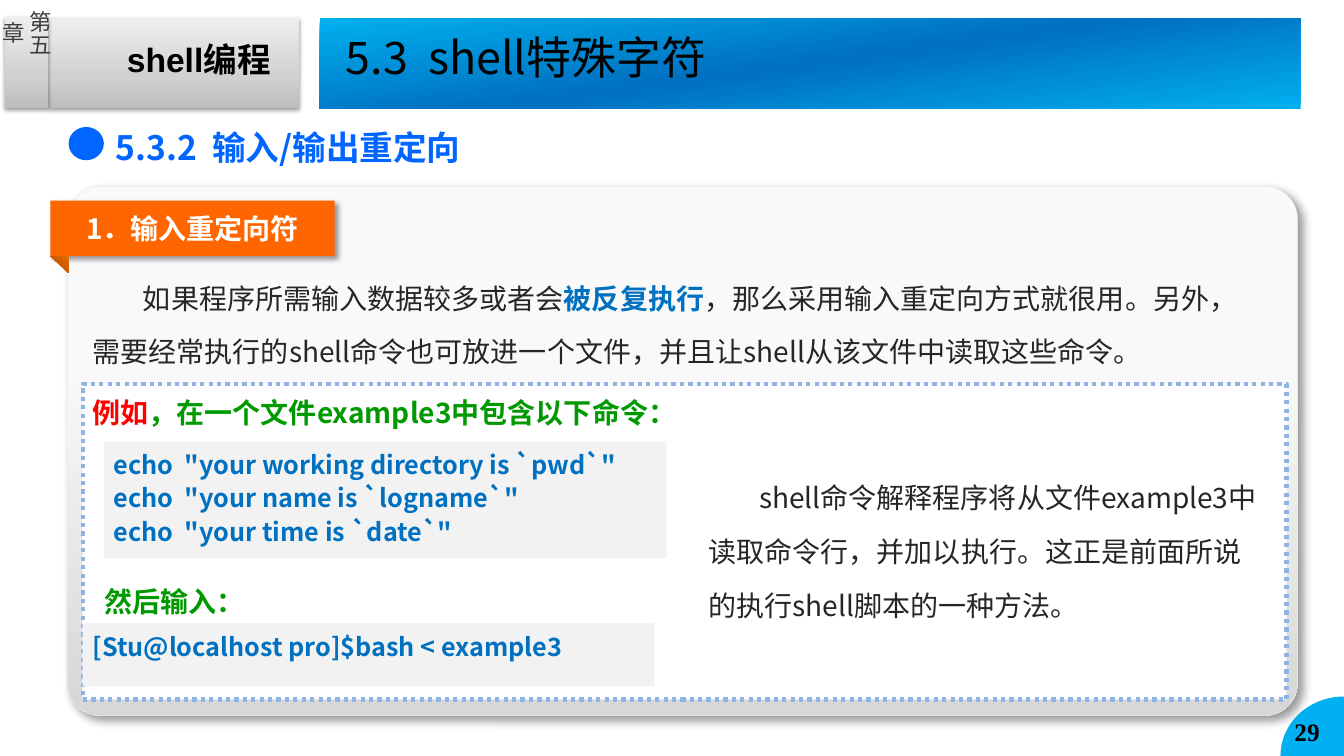
import math
from lxml import etree
from pptx import Presentation
from pptx.dml.color import RGBColor
from pptx.enum.dml import MSO_LINE
from pptx.enum.shapes import MSO_SHAPE
from pptx.enum.text import MSO_ANCHOR, PP_ALIGN
from pptx.oxml import parse_xml
from pptx.oxml.ns import qn
from pptx.util import Inches, Pt

RECT, ROUND_RECT = MSO_SHAPE.RECTANGLE, MSO_SHAPE.ROUNDED_RECTANGLE
OVAL, TRIANGLE = MSO_SHAPE.OVAL, MSO_SHAPE.RIGHT_TRIANGLE
TOP, MIDDLE = MSO_ANCHOR.TOP, MSO_ANCHOR.MIDDLE
LEFT, CENTER = PP_ALIGN.LEFT, PP_ALIGN.CENTER
SANS = "Noto Sans CJK SC"
NS = 'xmlns:a="http://schemas.openxmlformats.org/drawingml/2006/main"'
COLORS = {
    "black": "000000", "white": "FFFFFF", "chapter": "404040", "body": "262626",
    "sky": "00B0F0", "blue": "0070C0", "heading": "0066FF", "green": "009900",
    "red": "FF0000", "orange": "FF6600", "code_bg": "F2F2F2",
    "panel_edge": "EAEAEA", "dotted": "8EB4E3",
}
GREY_STOPS = [(0, "BDBDBD"), (35, "D1D1D1"), (100, "EEEEEE")]
TAB_SHADOW = (38, 3.1, 1.6, 90)  # opacity, blur, distance, direction

prs = Presentation()
prs.slide_width, prs.slide_height = Inches(13.33), Inches(7.5)
slide = prs.slides.add_slide(prs.slide_layouts[5])
shapes = slide.shapes


def add_box(kind, box, fill, angle=None, shadow=None):
    """Add a shape; fill is a colour name or a list of gradient stops."""
    shape = shapes.add_shape(kind, *map(Inches, box))
    shape.line.fill.background()
    shape.shadow.inherit = False
    props = shape._element.spPr
    if isinstance(fill, str):
        shape.fill.solid()
        shape.fill.fore_color.rgb = RGBColor.from_string(COLORS[fill])
    else:
        shape.fill.background()
        stops = "".join(f'<a:gs pos="{pos * 1000}"><a:srgbClr val="{color}"/></a:gs>'
                        for pos, color in fill)
        if angle is None:
            course = '<a:path path="circle"><a:fillToRect t="100000" r="100000"/></a:path>'
        else:
            course = f'<a:lin ang="{angle * 60000}" scaled="0"/>'
        gradient = parse_xml(f"<a:gradFill {NS}><a:gsLst>{stops}</a:gsLst>{course}</a:gradFill>")
        props.replace(props.find(qn("a:noFill")), gradient)
    if shadow:
        opacity, blur, distance, direction = shadow
        props.find(qn("a:effectLst")).append(parse_xml(
            f'<a:outerShdw {NS} blurRad="{Pt(blur)}" dist="{Pt(distance)}" '
            f'dir="{direction * 60000}" algn="ctr" rotWithShape="0"><a:srgbClr val="000000">'
            f'<a:alpha val="{opacity * 1000}"/></a:srgbClr></a:outerShdw>'))
    return shape


def add_text(place, *paragraphs, size=20, color="body", bold=False, font=SANS, align=LEFT,
             anchor=TOP, spacing=1.0, after=0, indent=0, insets=(0.1, 0.05)):
    """Write paragraphs into a shape or a new box; a run is text or (text, color, bold)."""
    shape = shapes.add_textbox(*map(Inches, place)) if isinstance(place, tuple) else place
    frame = shape.text_frame
    frame.word_wrap = True
    frame.vertical_anchor = anchor
    frame.margin_left = frame.margin_right = Inches(insets[0])
    frame.margin_top = frame.margin_bottom = Inches(insets[1])
    for number, runs in enumerate(paragraphs):
        paragraph = frame.add_paragraph() if number else frame.paragraphs[0]
        paragraph.alignment = align
        paragraph.line_spacing = spacing
        paragraph.space_before, paragraph.space_after = Pt(0), Pt(after)
        if indent:
            props = paragraph._p.get_or_add_pPr()
            props.set("marL", "0")
            props.set("indent", str(Inches(indent)))
        for item in [runs] if isinstance(runs, str) else runs:
            words, run_color, run_bold = (item, color, bold) if isinstance(item, str) else item
            run = paragraph.add_run()
            run.text = words
            run.font.size, run.font.bold, run.font.name = Pt(size), run_bold, font
            run.font.color.rgb = RGBColor.from_string(COLORS[run_color])
            etree.SubElement(run._r.rPr, qn("a:ea")).set("typeface", SANS)
    return shape


# Header: chapter tab, course name and title bar
add_box(RECT, (0.48, 0.18, 2.49, 0.89), GREY_STOPS, 270, TAB_SHADOW)
add_text((1.16, 0.34, 2.01, 0.53), "shell编程", size=24, color="black", bold=True, font="Arial")
add_box(RECT, (0.05, 0.17, 0.43, 0.9), GREY_STOPS, 270, TAB_SHADOW)
chapter = add_text((0.12, 0.11, 0.29, 0.65), "第五章", size=16, color="chapter",
                   align=CENTER, anchor=MIDDLE, insets=(0, 0))
chapter.text_frame._txBody.bodyPr.set("vert", "eaVert")
add_box(RECT, (3.17, 0.18, 9.73, 0.9), [(0, "00B0F0"), (50, "0070C0"), (100, "00B0F0")], 262)
title = shapes.title
title.left, title.top, title.width, title.height = map(Inches, (3.43, 0.29, 4.43, 0.69))
add_text(title, "5.3  shell特殊字符", size=32, color="black", insets=(0, 0))
shapes._spTree.append(title._element)  # bring the title in front of its bar

# Page number on a quarter disc
arc = [(13.33 - 0.63 * math.cos(math.radians(a)), 7.5 - 0.59 * math.sin(math.radians(a)))
       for a in range(0, 91, 5)]
builder = shapes.build_freeform(Inches(13.33), Inches(7.5))
builder.add_line_segments([(Inches(x), Inches(y)) for x, y in arc])
page_corner = builder.convert_to_shape()
page_corner.fill.solid()
page_corner.fill.fore_color.rgb = RGBColor.from_string(COLORS["sky"])
page_corner.line.fill.background()
page_corner.shadow.inherit = False
add_text((12.74, 7.06, 0.59, 0.4), "29", size=18, color="black", bold=True,
         font="Times New Roman")

# Section heading and panel
panel = add_box(ROUND_RECT, (0.67, 1.85, 12.2, 5.25), [(33, "F9F9F9"), (100, "D7D7D7")], 90,
                (40, 6, 5, 45))
panel.adjustments[0] = 0.062
panel.line.color.rgb = RGBColor.from_string(COLORS["panel_edge"])
panel.line.width = Pt(0.25)
add_text((1.05, 1.13, 4.5, 0.58), "5.3.2  输入/输出重定向", size=24, color="heading",
         bold=True, spacing=1.2, after=5)
add_box(OVAL, (0.68, 1.26, 0.35, 0.33), "heading")

# Ribbon with folded corner
ribbon = add_box(RECT, (0.5, 1.99, 2.82, 0.55), "orange", shadow=(40, 4, 3, 45))
add_text(ribbon, "1．输入重定向符", color="white", bold=True, align=CENTER, anchor=MIDDLE)
fold = add_box(TRIANGLE, (0.5, 2.54, 0.18, 0.17),
               [(0, "8D4000"), (50, "C85B00"), (100, "EE6B00")])
fold.rotation = 180

# Explanation
add_text((0.82, 2.54, 11.46, 1.17),
         ["如果程序所需输入数据较多或者会", ("被反复执行", "blue", True),
          "，那么采用输入重定向方式就很用。另外，需要经常执行的shell命令也可放进一个文件，"
          "并且让shell从该文件中读取这些命令。"],
         spacing=1.6, indent=0.5)

# Example: dotted frame, labels, code and remark
example = add_box(RECT, (0.82, 3.81, 11.94, 3.13), "white")
example.line.color.rgb = RGBColor.from_string(COLORS["dotted"])
example.line.width = Pt(3)
example.line.dash_style = MSO_LINE.ROUND_DOT
labels = [((0.82, 3.81, 11.94, 0.5),
           [("例如", "red", True), "，在一个文件example3中包含以下命令："]),
          ((0.94, 5.68, 5.68, 0.5), "然后输入：")]
for box, label in labels:
    add_text(box, label, color="green", bold=True, spacing=1.2, after=5)
listings = [((1.03, 4.38, 5.58, 1.16),
             ['echo  "your working directory is `pwd`"',
              'echo  "your name is `logname`"',
              'echo  "your time is `date`"']),
            ((0.82, 6.18, 5.67, 0.63), ["[Stu@localhost pro]$bash < example3"])]
for box, lines in listings:
    add_text(add_box(RECT, box, "code_bg"), *lines, size=18, color="blue", bold=True, spacing=1.1)
add_text((6.93, 4.52, 5.64, 1.7),
         "shell命令解释程序将从文件example3中读取命令行，并加以执行。"
         "这正是前面所说的执行shell脚本的一种方法。",
         spacing=1.6, indent=0.5)

prs.save("out.pptx")
